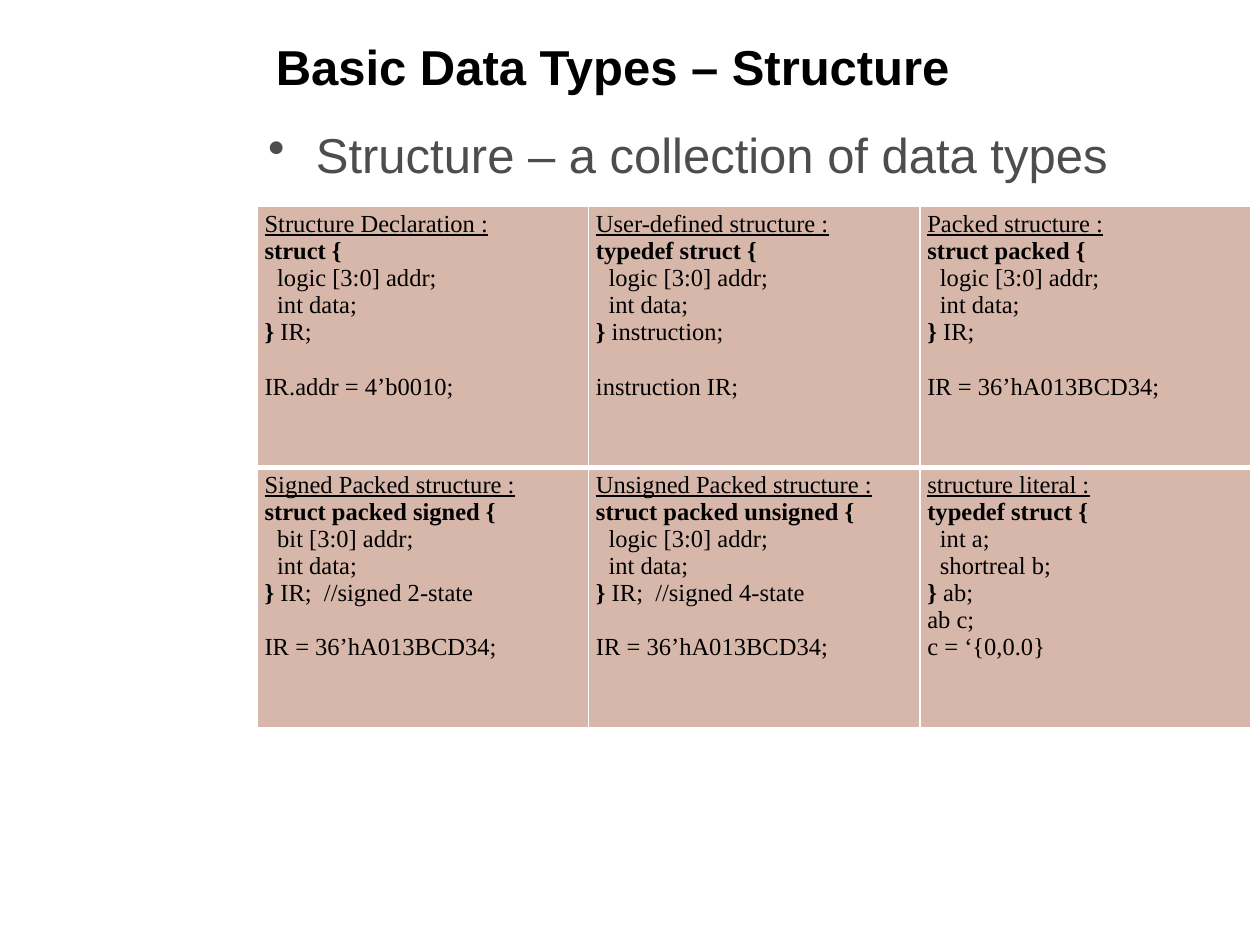
from lxml import etree
from pptx import Presentation
from pptx.dml.color import RGBColor
from pptx.enum.text import MSO_ANCHOR
from pptx.oxml.ns import qn
from pptx.util import Inches, Pt

MIDDLE = MSO_ANCHOR.MIDDLE
BLANK_LAYOUT = 6

HEADING = {"name": "Arial", "size": Pt(28)}
CODE = {"name": "Times New Roman", "size": Pt(14)}
BLACK, GREY, WHITE, CLAY = "000000", "4D4D4D", "FFFFFF", "D6B7A9"
LINE_GAP = Pt(15.7)

# Each example: title, opening line, fields, closing bracket,
# text after the bracket, usage lines, whether a gap precedes the usage
EXAMPLES = [
    [
        ("Structure Declaration :", "struct {",
         ["logic [3:0] addr;", "int data;"],
         "}", " IR;", ["IR.addr = 4’b0010;"], True),
        ("User-defined structure :", "typedef struct {",
         ["logic [3:0] addr;", "int data;"],
         "}", " instruction;", ["instruction IR;"], True),
        ("Packed structure :", "struct packed {",
         ["logic [3:0] addr;", "int data;"],
         "}", " IR;", ["IR = 36’hA013BCD34;"], True),
    ],
    [
        ("Signed Packed structure :", "struct packed signed {",
         ["bit [3:0] addr;", "int data;"],
         "}", " IR;  //signed 2-state", ["IR = 36’hA013BCD34;"], True),
        ("Unsigned Packed structure :", "struct packed unsigned {",
         ["logic [3:0] addr;", "int data;"],
         "}", " IR;  //signed 4-state", ["IR = 36’hA013BCD34;"], True),
        ("structure literal :", "typedef struct {",
         ["int a;", "shortreal b;"],
         "} ", "ab;", ["ab c;", "c = ‘{0,0.0}"], False),
    ],
]


def color(hex_value):
    return RGBColor.from_string(hex_value)


def add_span(para, text, hex_value, **formats):
    span = para.add_run()
    span.text = text
    for name, value in formats.items():
        setattr(span.font, name, value)
    span.font.color.rgb = color(hex_value)


def set_indent(para, left, first=0):
    properties = para._p.get_or_add_pPr()
    properties.set("marL", str(Inches(left)))
    properties.set("indent", str(Inches(first)))


def add_text_box(page, left, top, width, height):
    box = page.shapes.add_textbox(
        Inches(left), Inches(top), Inches(width), Inches(height))
    box.text_frame.word_wrap = True
    box.text_frame.vertical_anchor = MIDDLE
    return box.text_frame.paragraphs[0]


def add_bullet(para):
    para.space_before = Pt(5.6)
    set_indent(para, 0.38, -0.38)
    bullet = etree.SubElement(para._p.get_or_add_pPr(), qn("a:buChar"))
    bullet.set("char", "•")


def set_borders(cell, widths):
    properties = cell._tc.get_or_add_tcPr()
    for side, width in widths.items():
        line = etree.SubElement(properties, qn(f"a:ln{side}"), w=str(Pt(width)))
        fill = etree.SubElement(line, qn("a:solidFill"))
        etree.SubElement(fill, qn("a:srgbClr"), val=WHITE)


def fill_example(cell, example):
    title, opening, fields, bracket, ending, usage, gap = example
    frame = cell.text_frame
    add_span(frame.paragraphs[0], title, BLACK, underline=True, **CODE)
    add_span(frame.add_paragraph(), opening, BLACK, bold=True, **CODE)
    for field in fields:
        para = frame.add_paragraph()
        set_indent(para, 0.1)
        add_span(para, field, BLACK, **CODE)
    para = frame.add_paragraph()
    add_span(para, bracket, BLACK, bold=True, **CODE)
    add_span(para, ending, BLACK, **CODE)
    for text in usage:
        para = frame.add_paragraph()
        if gap:
            para.space_before = LINE_GAP
        add_span(para, text, BLACK, **CODE)


def add_example_table(page):
    row_count, column_count = len(EXAMPLES), len(EXAMPLES[0])
    table = page.shapes.add_table(
        row_count, column_count,
        Inches(2.04), Inches(1.64), Inches(7.89), Inches(4.14)).table
    margins = {"margin_left": 0.06, "margin_right": 0.06,
               "margin_top": 0.03, "margin_bottom": 0.03}
    for row, examples in enumerate(EXAMPLES):
        # The line between the two rows is thicker
        top, bottom = (1, 3) if row == 0 else (3, 1)
        for column, example in enumerate(examples):
            cell = table.cell(row, column)
            for name, value in margins.items():
                setattr(cell, name, Inches(value))
            set_borders(cell, {"L": 1, "R": 1, "T": top, "B": bottom})
            cell.fill.solid()
            cell.fill.fore_color.rgb = color(CLAY)
            fill_example(cell, example)


def main():
    deck = Presentation()
    deck.slide_width, deck.slide_height = Inches(10), Inches(7.5)
    page = deck.slides.add_slide(deck.slide_layouts[BLANK_LAYOUT])

    # Title
    para = add_text_box(page, 2.09, 0.13, 7.72, 0.79)
    add_span(para, "Basic Data Types – Structure", BLACK, bold=True, **HEADING)

    # Code examples
    add_example_table(page)

    # Lead statement
    para = add_text_box(page, 2.03, 0.94, 7.66, 0.57)
    add_bullet(para)
    add_span(para, "Structure – a collection of data types", GREY, **HEADING)

    deck.save("out.pptx")


if __name__ == "__main__":
    main()
